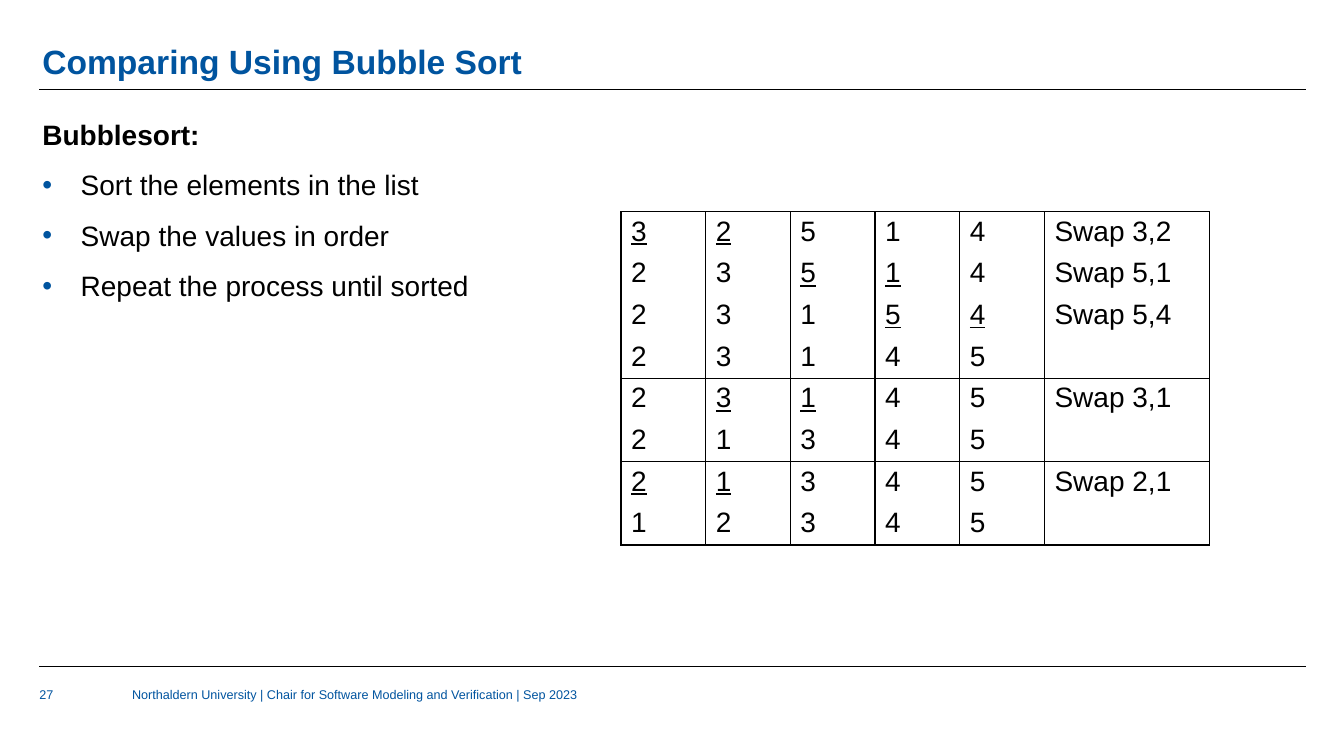
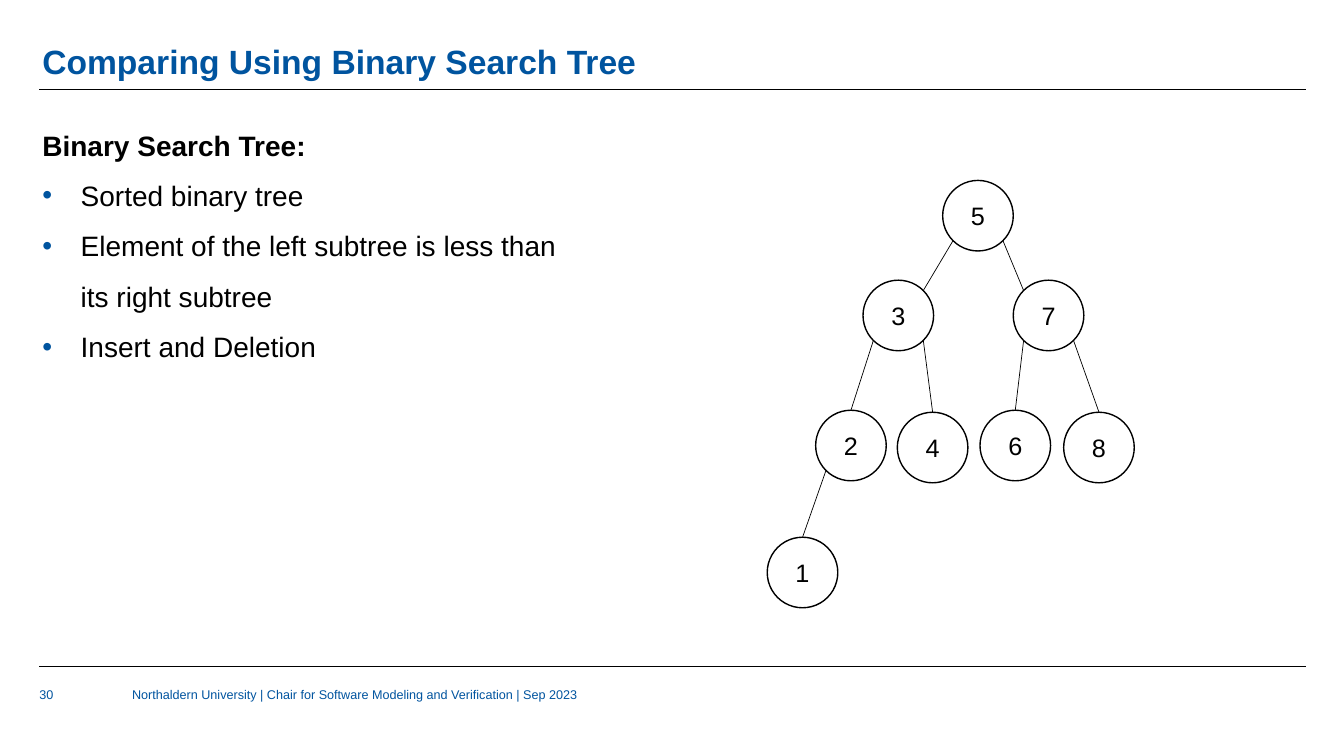
from math import sqrt

from lxml import etree
from pptx import Presentation
from pptx.dml.color import RGBColor
from pptx.enum.shapes import MSO_CONNECTOR as Connector, MSO_SHAPE as Shape
from pptx.enum.text import MSO_ANCHOR as Anchor, PP_ALIGN as Align
from pptx.oxml.ns import qn
from pptx.util import Inches, Pt

COLORS = {"blue": "00549F", "black": "000000", "white": "FFFFFF"}
FONT = "Arial"
FOOTER = "Northaldern University | Chair for Software Modeling and Verification | Sep 2023"
PLAIN_TABLE_STYLE = "{2D5ABB26-0587-4C30-8999-92F81FD0307C}"

RULE_LEFT, RULE_RIGHT = 0.39, 12.95
TEXT_LEFT = 0.42
BULLET_INDENT = 0.38

NODE_SIZE = 0.7
# Centre of each node, relative to the top left corner of the tree
TREE_NODES = {
    5: (2.09, 0.35), 3: (1.3, 1.34), 7: (2.79, 1.34),
    2: (0.83, 2.63), 4: (1.64, 2.65), 6: (2.46, 2.63), 8: (3.29, 2.65),
    1: (0.35, 3.89),
}
TREE_EDGES = [(5, 3), (5, 7), (3, 2), (3, 4), (7, 6), (7, 8), (2, 1)]


def color(name):
    return RGBColor.from_string(COLORS[name])


def add_run(paragraph, text, size, color_name="black", bold=False, underline=False):
    run = paragraph.add_run()
    run.text = text
    font = run.font
    font.name, font.size = FONT, Pt(size)
    font.bold, font.underline = bold, underline
    font.color.rgb = color(color_name)


def add_text_frame(slide, left, top, width, height, anchor=Anchor.TOP):
    box = slide.shapes.add_textbox(*map(Inches, (left, top, width, height)))
    frame = box.text_frame
    frame.word_wrap = True
    frame.vertical_anchor = anchor
    frame.margin_left = frame.margin_right = 0
    frame.margin_top = frame.margin_bottom = 0
    return frame


def add_line(slide, start, end):
    line = slide.shapes.add_connector(Connector.STRAIGHT, *map(Inches, (*start, *end)))
    line.line.color.rgb = color("black")
    line.line.width = Pt(0.5)
    etree.SubElement(line._element.spPr, qn("a:effectLst"))
    return line


def add_framed_slide(prs, title, number):
    """Add a slide with the shared title, rules and footer."""
    slide = prs.slides.add_slide(prs.slide_layouts[6])
    for y in (0.89, 6.61):
        add_line(slide, (RULE_LEFT, y), (RULE_RIGHT, y))
    heading = add_text_frame(slide, TEXT_LEFT, 0.22, 12.56, 0.59, Anchor.BOTTOM).paragraphs[0]
    heading.line_spacing = 0.9
    add_run(heading, title, 24, "blue", bold=True)
    for text, left, width in ((str(number), RULE_LEFT, 0.8), (FOOTER, 1.31, 7.66)):
        footer = add_text_frame(slide, left, 6.81, width, 0.43)
        add_run(footer.paragraphs[0], text, 9, "blue")
    return slide


def set_bullet(paragraph):
    props = paragraph._p.get_or_add_pPr()
    props.set("marL", str(Inches(BULLET_INDENT)))
    props.set("indent", str(-Inches(BULLET_INDENT)))
    bullet_color = etree.SubElement(props, qn("a:buClr"))
    etree.SubElement(bullet_color, qn("a:srgbClr"), val=COLORS["blue"])
    etree.SubElement(props, qn("a:buFont"), typeface=FONT)
    etree.SubElement(props, qn("a:buChar"), char="•")


def add_summary(slide, box, heading, points, heading_spacing):
    frame = add_text_frame(slide, *box)
    first = frame.paragraphs[0]
    first.line_spacing = heading_spacing
    add_run(first, heading, 20, bold=True)
    for point in points:
        paragraph = frame.add_paragraph()
        paragraph.line_spacing = 1.5
        set_bullet(paragraph)
        add_run(paragraph, point, 20)


def bubble_sort_passes(values):
    """Return, for each pass, its steps as (values, index of swap or None)."""
    values, passes = list(values), []
    while True:
        steps = []
        for i in range(len(values) - 1):
            if values[i] > values[i + 1]:
                steps.append((list(values), i))
                values[i], values[i + 1] = values[i + 1], values[i]
        if not steps:
            return passes
        passes.append(steps + [(list(values), None)])


def set_borders(cell, sides):
    props = cell._tc.get_or_add_tcPr()
    for side in "LRTB":
        border = etree.SubElement(props, qn(f"a:ln{side}"), w=str(Pt(1)))
        if side in sides:
            fill = etree.SubElement(border, qn("a:solidFill"))
            etree.SubElement(fill, qn("a:srgbClr"), val=COLORS["black"])
        else:
            etree.SubElement(border, qn("a:noFill"))


def fill_cell(cell, text, sides, underline=False):
    set_borders(cell, sides)
    cell.fill.background()
    cell.margin_top = cell.margin_bottom = Inches(0.04)
    if text:
        add_run(cell.text_frame.paragraphs[0], text, 20, underline=underline)


def add_sort_table(slide, left, top, values):
    value_width, swap_width, row_height = 0.84, 1.64, 0.41
    passes = bubble_sort_passes(values)
    row_count, count = sum(map(len, passes)), len(values)
    table = slide.shapes.add_table(
        row_count, count + 1, Inches(left), Inches(top),
        Inches(count * value_width + swap_width), Inches(row_count * row_height)).table
    table.first_row = table.horz_banding = False
    table._tbl.tblPr.find(qn("a:tableStyleId")).text = PLAIN_TABLE_STYLE
    for col, width in enumerate([value_width] * count + [swap_width]):
        table.columns[col].width = Inches(width)

    row = 0
    for steps in passes:
        for step, (numbers, swap) in enumerate(steps):
            table.rows[row].height = Inches(row_height)
            sides = "LR" + "T" * (step == 0) + "B" * (swap is None)
            pair = () if swap is None else (swap, swap + 1)
            for col, number in enumerate(numbers):
                fill_cell(table.cell(row, col), str(number), sides, col in pair)
            label = f"Swap {numbers[pair[0]]},{numbers[pair[1]]}" if pair else ""
            fill_cell(table.cell(row, count), label, sides)
            row += 1


def add_node(slide, value, center_x, center_y):
    node = slide.shapes.add_shape(
        Shape.OVAL, Inches(center_x - NODE_SIZE / 2), Inches(center_y - NODE_SIZE / 2),
        Inches(NODE_SIZE), Inches(NODE_SIZE))
    node.shadow.inherit = False
    node.fill.solid()
    node.fill.fore_color.rgb = color("white")
    node.line.color.rgb = color("black")
    node.line.width = Pt(1)
    node.text_frame.vertical_anchor = Anchor.MIDDLE
    label = node.text_frame.paragraphs[0]
    label.alignment = Align.CENTER
    add_run(label, str(value), 18)
    return node


def add_tree(slide, left, top, root):
    centers = {value: (left + x, top + y) for value, (x, y) in TREE_NODES.items()}
    nodes = {value: add_node(slide, value, *center) for value, center in centers.items()}
    diagonal = NODE_SIZE / 2 / sqrt(2)
    for parent, child in TREE_EDGES:
        (parent_x, parent_y), (child_x, child_y) = centers[parent], centers[child]
        side = diagonal if child > parent else -diagonal
        start = (parent_x + side, parent_y + diagonal)
        if parent == root:
            add_line(slide, start, (child_x - side, child_y - diagonal))
        else:
            edge = add_line(slide, start, (child_x, child_y - NODE_SIZE / 2))
            edge.end_connect(nodes[child], 0)


def add_bubble_sort_slide(prs):
    slide = add_framed_slide(prs, "Comparing Using Bubble Sort", 27)
    add_sort_table(slide, 6.16, 2.1, [3, 2, 5, 1, 4])
    add_summary(slide, (TEXT_LEFT, 1, 4.61, 2.2), "Bubblesort:", [
        "Sort the elements in the list",
        "Swap the values in order",
        "Repeat the process until sorted",
    ], heading_spacing=1.5)


def add_search_tree_slide(prs):
    slide = add_framed_slide(prs, "Comparing Using Binary Search Tree", 30)
    add_tree(slide, 7.61, 1.79, root=5)
    add_summary(slide, (TEXT_LEFT, 1.27, 5.21, 2.48), "Binary Search Tree:", [
        "Sorted binary tree",
        "Element of the left subtree is less than its right subtree",
        "Insert and Deletion",
    ], heading_spacing=1.0)


def main():
    prs = Presentation()
    prs.slide_width, prs.slide_height = Inches(13.33), Inches(7.5)
    add_bubble_sort_slide(prs)
    add_search_tree_slide(prs)
    prs.save("out.pptx")


if __name__ == "__main__":
    main()
